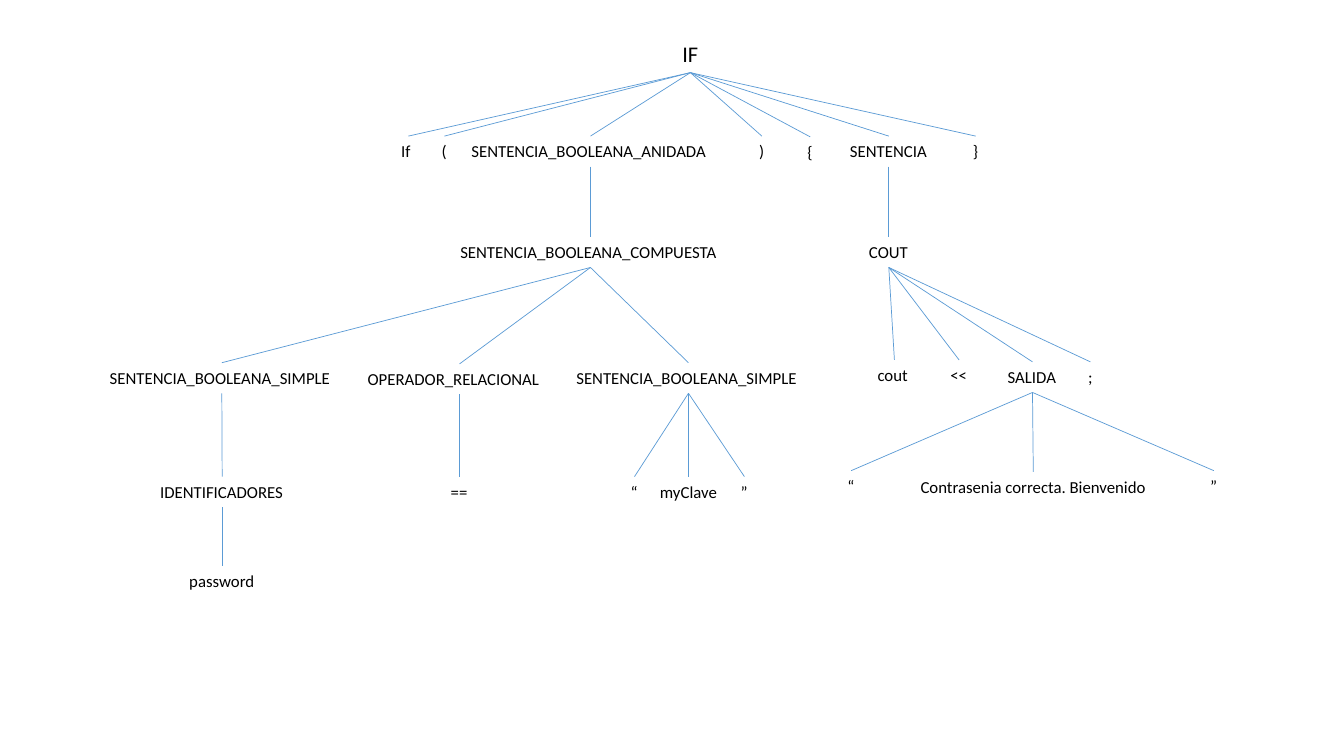
from lxml import etree
from pptx import Presentation
from pptx.dml.color import RGBColor
from pptx.enum.shapes import MSO_CONNECTOR
from pptx.enum.text import MSO_AUTO_SIZE, PP_ALIGN
from pptx.oxml.ns import qn
from pptx.util import Cm, Pt

STRAIGHT = MSO_CONNECTOR.STRAIGHT
LEFT, CENTER = PP_ALIGN.LEFT, PP_ALIGN.CENTER
GROW, FIXED = MSO_AUTO_SIZE.SHAPE_TO_FIT_TEXT, MSO_AUTO_SIZE.NONE
FONT, INK, BRANCH = "Calibri", "000000", "5B9BD5"

# Parse tree, in cm: (text, centre x, top, width, children)
PASSWORD = ("password", 5.6, 14.25, 2.16, [])
LEFT_SIDE = ("SENTENCIA_BOOLEANA_SIMPLE", 5.59, 9.14, 6.15, [
    ("IDENTIFICADORES", 5.6, 12.01, 3.63, [PASSWORD]),
])
OPERATOR = ("OPERADOR_RELACIONAL", 11.58, 9.17, 5.13, [
    ("==", 11.58, 12.01, 0.94, []),
])
RIGHT_SIDE = ("SENTENCIA_BOOLEANA_SIMPLE", 17.35, 9.14, 6.15, [
    ("“", 15.99, 12.01, 0.69, []),
    ("myClave", 17.35, 12.01, 2.13, []),
    ("”", 18.76, 12.01, 0.69, []),
])
CONDITION = ("SENTENCIA_BOOLEANA_ANIDADA", 14.88, 3.43, 6.5, [
    ("SENTENCIA_BOOLEANA_COMPUESTA", 14.88, 5.97, 7.06,
     [LEFT_SIDE, OPERATOR, RIGHT_SIDE]),
])
OUTPUT = ("SALIDA", 26.02, 9.12, 1.75, [
    ("“", 21.45, 11.86, 0.69, []),
    ("Contrasenia correcta. Bienvenido", 26.04, 11.89, 7.77, []),
    ("”", 30.59, 11.86, 0.69, []),
])
BODY = ("SENTENCIA", 22.4, 3.43, 2.46, [
    ("COUT", 22.4, 5.97, 1.5, [
        ("cout", 22.54, 9.07, 1.35, []),
        ("<<", 24.17, 9.07, 0.94, []),
        OUTPUT,
        (";", 27.48, 9.12, 1.73, []),
    ]),
])
TREE = ("IF", 17.4, 0.89, 0.91, [
    ("If", 10.29, 3.43, 0.86, []),
    ("(", 11.2, 3.43, 0.64, []),
    CONDITION,
    (")", 19.2, 3.43, 0.64, []),
    ("{", 20.42, 3.45, 0.64, []),
    BODY,
    ("}", 24.59, 3.43, 0.64, []),
])

# Exceptions to the usual node
NODE_HEIGHT, HEIGHTS = 0.77, {"IF": 0.94, ";": 1.4}
NODE_SIZE, SIZES = 12, {"IF": 16}
CENTERED = {"myClave", "Contrasenia correcta. Bienvenido", ";"}
WRAPPED = CENTERED | {"If", "cout", "OPERADOR_RELACIONAL"}


def rgb(value):
    return RGBColor.from_string(value)


def add_node(s, text, cx, top, width, height):
    sp = s.shapes.add_textbox(Cm(cx - width / 2), Cm(top), Cm(width), Cm(height))
    tf = sp.text_frame
    tf.word_wrap = text in WRAPPED
    tf.auto_size = FIXED if text == ";" else GROW
    p = tf.paragraphs[0]
    p.alignment = CENTER if text in CENTERED else LEFT
    r = p.add_run()
    r.text = text
    r.font.name = FONT
    r.font.size = Pt(SIZES.get(text, NODE_SIZE))
    r.font.color.rgb = rgb(INK)


def add_branch(s, x1, y1, x2, y2):
    line = s.shapes.add_connector(STRAIGHT, Cm(x1), Cm(y1), Cm(x2), Cm(y2))
    line.line.color.rgb = rgb(BRANCH)
    line.line.width = Pt(0.5)
    etree.SubElement(line._element.spPr, qn("a:effectLst"))


def draw(s, node):
    text, cx, top, width, children = node
    height = HEIGHTS.get(text, NODE_HEIGHT)
    add_node(s, text, cx, top, width, height)
    for child in children:
        add_branch(s, cx, top + height, child[1], child[2])
        draw(s, child)


def main():
    prs = Presentation()
    prs.slide_width, prs.slide_height = Cm(33.87), Cm(19.05)
    s = prs.slides.add_slide(prs.slide_layouts[6])
    draw(s, TREE)
    prs.save("out.pptx")


if __name__ == "__main__":
    main()
